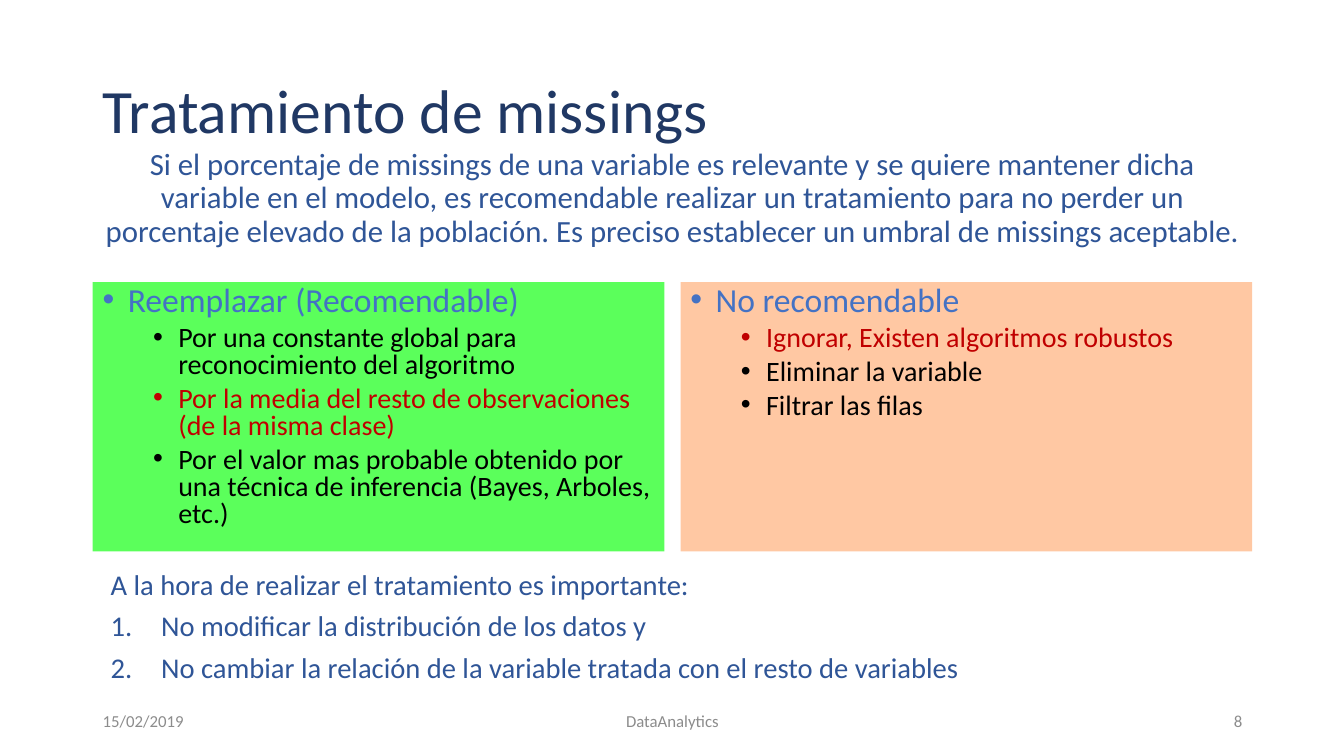
from lxml.etree import SubElement
from pptx import Presentation
from pptx.dml.color import RGBColor
from pptx.enum.shapes import MSO_SHAPE
from pptx.enum.text import MSO_ANCHOR, PP_ALIGN
from pptx.oxml.ns import qn
from pptx.util import Pt

SCALE = 9144  # EMU per px, 100 px to the inch
FONT = "Calibri"
NAVY, BLUE, SKY = "203864", "2F5597", "4472C4"
BLACK, RED, GRAY = "000000", "C00000", "8C8C8C"
GREEN, PEACH = "5BFF5B", "FFC8A3"
LEFT, WIDTH = 92, 1150


def px(n):
    return round(n * SCALE)


def color(code):
    return RGBColor.from_string(code)


def put(frame, text, size=20, ink=BLACK, align=PP_ALIGN.LEFT, line=None,
        before=0, level=0, indent=0, hang=0, mark=None):
    """Add one paragraph; mark is a bullet sign, or "1." for numbering."""
    first = frame.paragraphs[0]
    para = frame.add_paragraph() if first.runs else first
    para.alignment, para.level = align, level
    para.space_before = Pt(before)
    if line:
        para.line_spacing = line
    props = para._p.get_or_add_pPr()
    props.set("marL", str(px(indent)))
    props.set("indent", str(px(-hang)))
    if mark == "1.":
        SubElement(props, qn("a:buAutoNum"), type="arabicPeriod")
    elif mark:
        SubElement(props, qn("a:buFont"), typeface="Arial")
        SubElement(props, qn("a:buChar"), char=mark)
    run = para.add_run()
    run.text = text
    run.font.size, run.font.name = Pt(size), FONT
    run.font.color.rgb = color(ink)


def area(slide, box, anchor=MSO_ANCHOR.TOP):
    frame = slide.shapes.add_textbox(*map(px, box)).text_frame
    frame.word_wrap = True
    frame.vertical_anchor = anchor
    return frame


def header(slide, box):
    left, top, width, height = box
    put(area(slide, box, MSO_ANCHOR.MIDDLE), "Tratamiento de missings",
        size=44, ink=NAVY, line=0.9)
    put(area(slide, (left, top + 103, width, 121)),
        "Si el porcentaje de missings de una variable es relevante y se "
        "quiere mantener dicha variable en el modelo, es recomendable "
        "realizar un tratamiento para no perder un porcentaje elevado de la "
        "población. Es preciso establecer un umbral de missings aceptable.",
        size=22, ink=BLUE, align=PP_ALIGN.CENTER, line=0.9, before=10)


def panel(slide, box, fill, head, items):
    rect = slide.shapes.add_shape(MSO_SHAPE.RECTANGLE, *map(px, box))
    rect.shadow.inherit = False
    rect.fill.solid()
    rect.fill.fore_color.rgb = color(fill)
    rect.line.fill.background()
    frame = rect.text_frame
    frame.word_wrap = True
    frame.vertical_anchor = MSO_ANCHOR.TOP
    put(frame, head, size=24, ink=SKY, line=0.8, before=10,
        indent=25, hang=25, mark="•")
    for text, ink in items:
        put(frame, text, ink=ink, line=0.8, before=5, level=1,
            indent=75, hang=25, mark="•")


def options(slide, box):
    left, top, width, height = box
    gap = 16
    wide = (width - gap) // 2
    panels = (
        (GREEN, "Reemplazar (Recomendable)", (
            ("Por una constante global para reconocimiento del algoritmo",
             BLACK),
            ("Por la media del resto de observaciones (de la misma clase)",
             RED),
            ("Por el valor mas probable obtenido por una técnica de "
             "inferencia (Bayes, Arboles, etc.)", BLACK))),
        (PEACH, "No recomendable", (
            ("Ignorar, Existen algoritmos robustos", RED),
            ("Eliminar la variable", BLACK),
            ("Filtrar las filas", BLACK))),
    )
    for i, (fill, head, items) in enumerate(panels):
        panel(slide, (left + i * (wide + gap), top, wide, height),
              fill, head, items)


def advice(slide, box):
    frame = area(slide, box)
    style = dict(size=20.4, ink=BLUE, line=0.8, before=10)
    put(frame, "A la hora de realizar el tratamiento es importante:", **style)
    for text in ("No modificar la distribución de los datos y",
                 "No cambiar la relación de la variable tratada con el "
                 "resto de variables"):
        put(frame, text, indent=50, hang=50, mark="1.", **style)


def footer(slide, box):
    left, top, width, height = box
    for start, wide, text, align in (
            (0, 300, "15/02/2019", PP_ALIGN.LEFT),
            (350, 450, "DataAnalytics", PP_ALIGN.CENTER),
            (width - 300, 300, "8", PP_ALIGN.RIGHT)):
        put(area(slide, (left + start, top, wide, height), MSO_ANCHOR.MIDDLE),
            text, size=12, ink=GRAY, align=align)


def main():
    deck = Presentation()
    deck.slide_width, deck.slide_height = px(1333), px(750)
    slide = deck.slides.add_slide(deck.slide_layouts[6])
    header(slide, (LEFT, 40, WIDTH, 145))
    options(slide, (LEFT, 280, WIDTH, 267))
    advice(slide, (100, 564, WIDTH, 121))
    footer(slide, (LEFT, 695, WIDTH, 40))
    deck.save("out.pptx")


if __name__ == "__main__":
    main()
